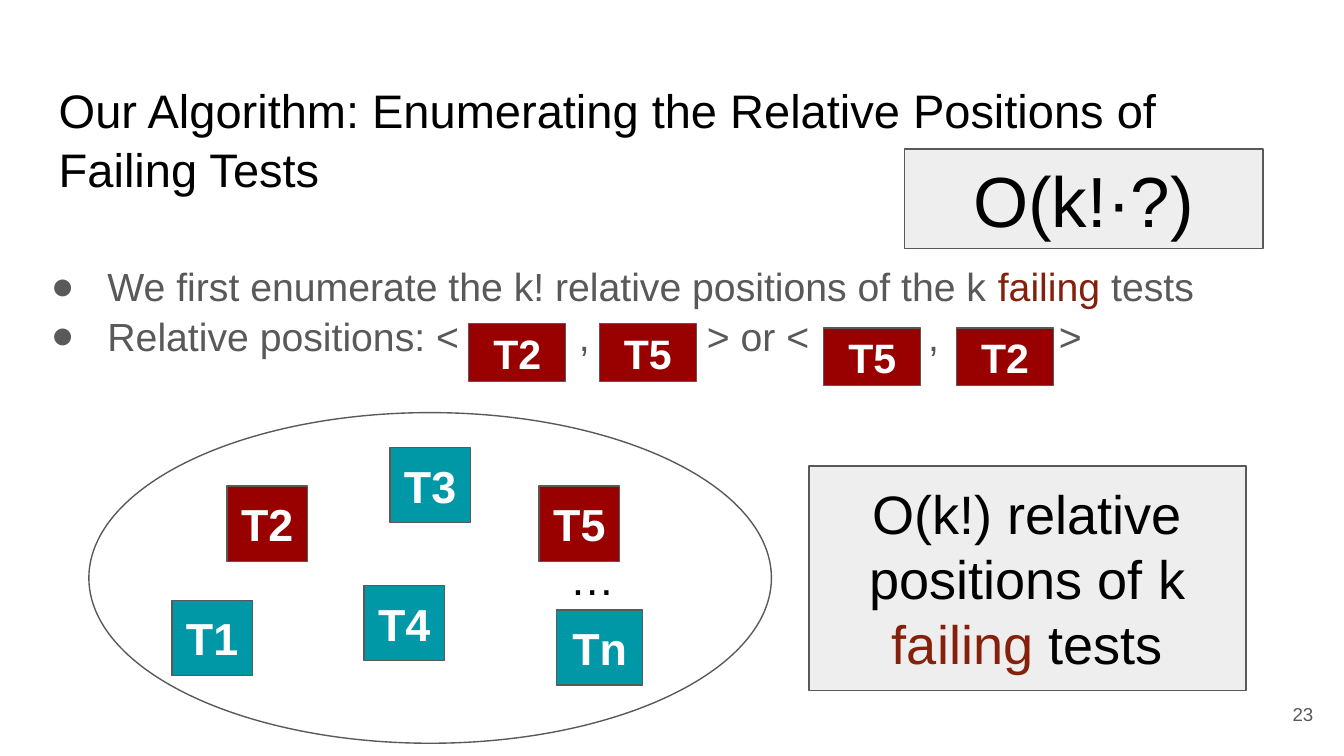
"""Build the slide on enumerating relative positions of failing tests."""
from lxml import etree
from pptx import Presentation
from pptx import util as u
from pptx.dml.color import RGBColor
from pptx.enum import shapes, text
from pptx.oxml.ns import qn

GREY, BLACK, WHITE, PALE = "595959", "000000", "FFFFFF", "EEEEEE"
FAILING, PASSING, FAILING_WORD = "990000", "0097A7", "85200C"
FRAME = {
    "word_wrap": True,
    "auto_size": text.MSO_AUTO_SIZE.NONE,
    "margin_left": u.Cm(0.25),
    "margin_right": u.Cm(0.25),
    "margin_top": u.Cm(0.25),
    "margin_bottom": u.Cm(0.25),
}
TEST_SIZE = (1.52, 1.42)
POSITION_SIZE = (1.83, 1.09)
TESTS = [
    ("T1", PASSING, 3.25, 11.35, TEST_SIZE, 24),
    ("T2", FAILING, 4.29, 9.19, TEST_SIZE, 24),
    ("T3", PASSING, 7.37, 8.46, TEST_SIZE, 24),
    ("T4", PASSING, 6.88, 11.07, TEST_SIZE, 24),
    ("T5", FAILING, 10.19, 9.19, TEST_SIZE, 24),
    ("Tn", PASSING, 10.52, 11.53, (1.63, 1.42), 24),
    ("T2", FAILING, 8.86, 6.12, POSITION_SIZE, 22),
    ("T5", FAILING, 11.33, 6.12, POSITION_SIZE, 22),
    ("T5", FAILING, 15.57, 6.2, POSITION_SIZE, 22),
    ("T2", FAILING, 18.08, 6.2, POSITION_SIZE, 22),
]
BULLETS = [
    [("We first enumerate the k! relative positions of the k ", GREY),
     ("failing", FAILING_WORD), (" tests", GREY)],
    [("Relative positions: <\t,\t> or <\t,\t>", GREY)],
]
TAB_STOPS = (10.18, 12.6, 16.78, 19.25)


def color(value):
    """Turn a hex string into a colour."""
    return RGBColor.from_string(value)


def apply(target, values):
    """Set every attribute in a dict of format values."""
    for name, value in values.items():
        setattr(target, name, value)


def place(shape, left, top, width, height):
    """Move and size a shape, in centimetres."""
    apply(shape, {"left": u.Cm(left), "top": u.Cm(top),
                  "width": u.Cm(width), "height": u.Cm(height)})


def format_frame(shape, anchor):
    """Give a shape's text frame the common margins and an anchor."""
    apply(shape.text_frame, {**FRAME, "vertical_anchor": anchor})
    return shape.text_frame


def write(paragraph, runs, size, bold=False, align=text.PP_ALIGN.LEFT):
    """Write coloured runs into a paragraph."""
    paragraph.alignment = align
    for words, tint in runs:
        run = paragraph.add_run()
        run.text = words
        apply(run.font, {"name": "Arial", "size": u.Pt(size), "bold": bold})
        run.font.color.rgb = color(tint)


def add_bullet(paragraph):
    """Add a grey round bullet, its indent and the tab stops."""
    properties = paragraph._p.get_or_add_pPr()
    properties.set("marL", str(u.Cm(1.27)))
    properties.set("indent", str(u.Cm(-1.07)))
    tint = etree.SubElement(properties, qn("a:buClr"))
    etree.SubElement(tint, qn("a:srgbClr"), val=GREY)
    etree.SubElement(properties, qn("a:buFont"), typeface="Arial")
    etree.SubElement(properties, qn("a:buChar"), char="●")
    stops = etree.SubElement(properties, qn("a:tabLst"))
    for stop in TAB_STOPS:
        etree.SubElement(stops, qn("a:tab"), pos=str(u.Cm(stop)), algn="l")


def add_title(slide, words):
    """Fill the title placeholder."""
    title = slide.shapes.title
    place(title, 0.86, 1.24, 23.67, 1.6)
    paragraph = format_frame(title, text.MSO_ANCHOR.TOP).paragraphs[0]
    paragraph.line_spacing = 1.05
    write(paragraph, [(words, BLACK)], 25.2)


def add_body(slide, bullets):
    """Fill the body placeholder with bullets."""
    body = slide.placeholders[1]
    place(body, 0.51, 4.67, 22.35, 1.91)
    frame = format_frame(body, text.MSO_ANCHOR.TOP)
    for index, runs in enumerate(bullets):
        paragraph = frame.add_paragraph() if index else frame.paragraphs[0]
        add_bullet(paragraph)
        apply(paragraph, {"line_spacing": 1.05, "space_before": u.Pt(0)})
        write(paragraph, runs, 21)


def add_label(slide, box, words, size, tint, anchor, align):
    """Add a plain text box."""
    label = slide.shapes.add_textbox(*map(u.Cm, box))
    frame = format_frame(label, anchor)
    write(frame.paragraphs[0], [(words, tint)], size, align=align)


def add_block(slide, kind, box, fill, runs=(), size=24, bold=False):
    """Add an outlined shape with centred text."""
    shape = slide.shapes.add_shape(kind, *map(u.Cm, box))
    shape.shadow.inherit = False
    shape.fill.solid()
    shape.fill.fore_color.rgb = color(fill)
    shape.line.color.rgb = color(GREY)
    shape.line.width = u.Pt(0.75)
    frame = format_frame(shape, text.MSO_ANCHOR.MIDDLE)
    write(frame.paragraphs[0], runs, size, bold, text.PP_ALIGN.CENTER)


def main():
    """Build and save the slide."""
    presentation = Presentation()
    apply(presentation, {"slide_width": u.Cm(25.4), "slide_height": u.Cm(14.29)})
    slide = presentation.slides.add_slide(presentation.slide_layouts[1])
    rectangle = shapes.MSO_SHAPE.RECTANGLE

    add_title(slide, "Our Algorithm: Enumerating the Relative Positions of Failing Tests")
    add_body(slide, BULLETS)
    add_label(slide, (23.55, 12.95, 1.52, 1.09), "23", 10, GREY,
              text.MSO_ANCHOR.MIDDLE, text.PP_ALIGN.RIGHT)
    add_block(slide, shapes.MSO_SHAPE.OVAL, (1.68, 7.8, 12.9, 6.25), WHITE)
    for name, fill, left, top, dimensions, size in TESTS:
        add_block(slide, rectangle, (left, top, *dimensions), fill,
                  [(name, WHITE)], size, bold=True)
    add_label(slide, (10.52, 10.16, 2.34, 1.55), "…", 24, BLACK,
              text.MSO_ANCHOR.TOP, text.PP_ALIGN.LEFT)
    add_block(slide, rectangle, (15.29, 8.81, 8.26, 4.24), PALE,
              [("O(k!) relative positions of k ", BLACK),
               ("failing ", FAILING_WORD), ("tests", BLACK)], 29)
    add_block(slide, rectangle, (17.09, 2.82, 6.78, 1.88), PALE,
              [("O(k!·?)", BLACK)], 38)
    presentation.save("out.pptx")


if __name__ == "__main__":
    main()
